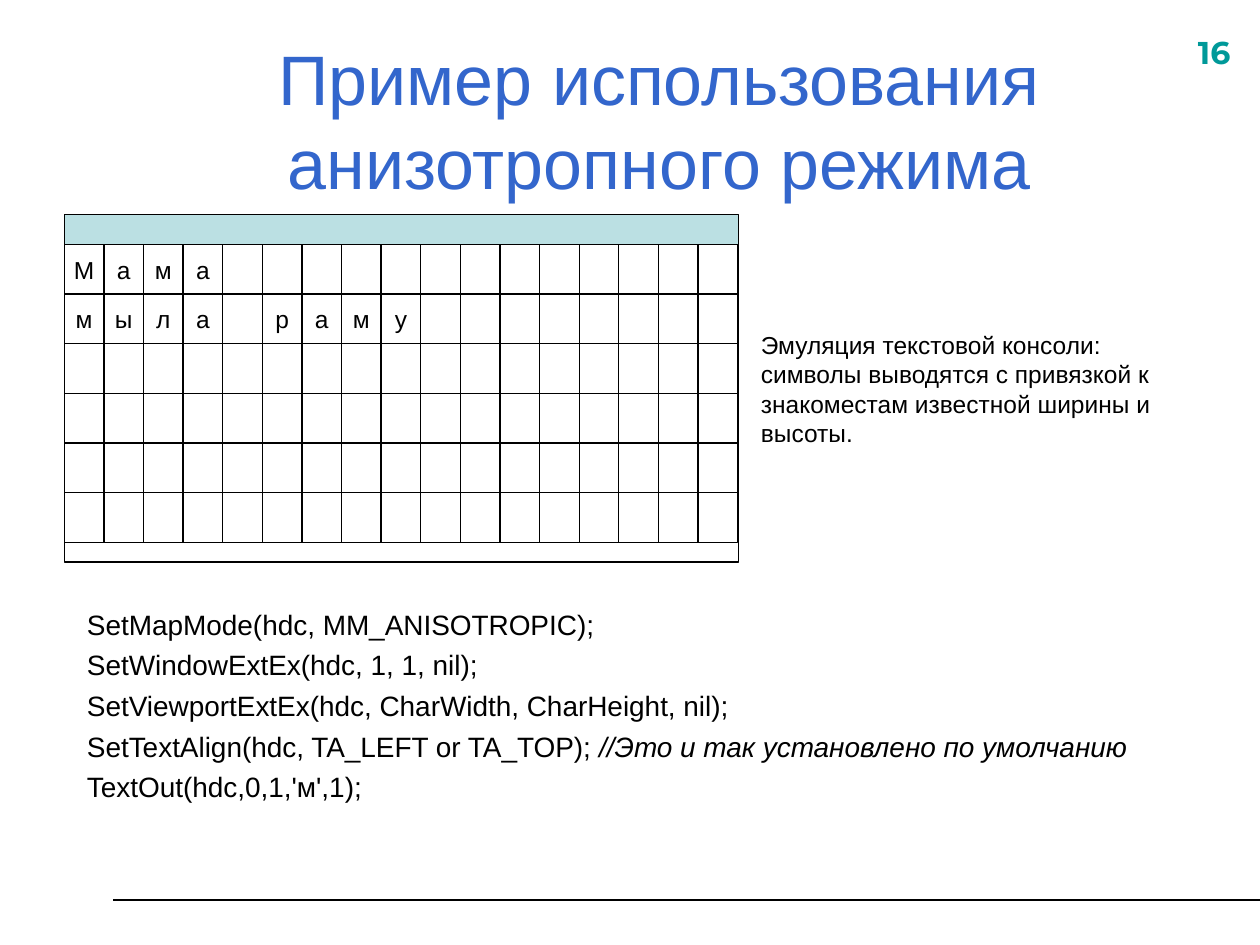
from pptx import Presentation
from pptx.dml.color import RGBColor
from pptx.enum.shapes import MSO_CONNECTOR, MSO_SHAPE
from pptx.enum.text import MSO_ANCHOR, MSO_AUTO_SIZE, PP_ALIGN
from pptx.oxml.ns import qn
from pptx.util import Inches, Pt
from lxml import etree

RECTANGLE, STRAIGHT = MSO_SHAPE.RECTANGLE, MSO_CONNECTOR.STRAIGHT
CENTER, LEFT = PP_ALIGN.CENTER, PP_ALIGN.LEFT
MIDDLE, TOP, NO_FIT = MSO_ANCHOR.MIDDLE, MSO_ANCHOR.TOP, MSO_AUTO_SIZE.NONE
BLACK = "000000"


def color(value):
    return RGBColor.from_string(value)


def write(paragraph, text, size, hex_color=BLACK, align=LEFT, **font_values):
    run = paragraph.add_run()
    run.text = text
    paragraph.alignment = align
    values = {"name": "Arial", "size": Pt(size), "bold": False, **font_values}
    for name, value in values.items():
        setattr(run.font, name, value)
    run.font.color.rgb = color(hex_color)


prs = Presentation()
prs.slide_width, prs.slide_height = Inches(10), Inches(7.5)
slide = prs.slides.add_slide(prs.slide_layouts[1])
shapes = slide.shapes
title, code = slide.placeholders

# Footer rule
rule = shapes.add_connector(STRAIGHT, Inches(0.9), Inches(7.14), Inches(10), Inches(7.14))
rule.line.color.rgb = color(BLACK)
rule.line.width = Pt(1.25)
etree.SubElement(rule.element.spPr, qn("a:effectLst"))

# Page number
page_number = shapes.add_textbox(Inches(9.41), Inches(0.21), Inches(0.63), Inches(0.44))
page_number.text_frame.word_wrap = True
write(page_number.text_frame.paragraphs[0], "16", 18, "009999", name="Montserrat", bold=True)

# Title and code listing
for holder, (left, top, width, height), anchor in (
    (title, (0.73, 0.32, 9, 1.25), MIDDLE),
    (code, (0.59, 4.77, 9, 2.05), TOP),
):
    holder.left, holder.top = Inches(left), Inches(top)
    holder.width, holder.height = Inches(width), Inches(height)
    holder.text_frame.auto_size = NO_FIT
    holder.text_frame.vertical_anchor = anchor
write(title.text_frame.paragraphs[0], "Пример использования анизотропного режима",
      40, "3366CC", CENTER)

code_lines = [
    ("SetMapMode(hdc, MM_ANISOTROPIC);", ""),
    ("SetWindowExtEx(hdc, 1, 1, nil);", ""),
    ("SetViewportExtEx(hdc, CharWidth, CharHeight, nil);", ""),
    ("SetTextAlign(hdc, TA_LEFT or TA_TOP); ", "//Это и так установлено по умолчанию"),
    ("TextOut(hdc,0,1,'м',1);", ""),
]
for index, (statement, comment) in enumerate(code_lines):
    line = code.text_frame.add_paragraph() if index else code.text_frame.paragraphs[0]
    properties = line._p.get_or_add_pPr()
    properties.set("marL", str(Inches(0.38)))
    properties.set("indent", str(-Inches(0.38)))
    etree.SubElement(properties, qn("a:buNone"))
    line.space_before = Pt(4 if index else 0)
    write(line, statement, 16)
    if comment:
        write(line, comment, 16, italic=True)

# Console window: caption bar and client area
window_left, client_top, window_width = Inches(0.51), Inches(1.94), Inches(5.35)
for top, height, fill in ((1.7, 0.24, "BBE0E3"), (1.94, 2.52, "FFFFFF")):
    pane = shapes.add_shape(RECTANGLE, window_left, Inches(top), window_width, Inches(height))
    pane.shadow.inherit = False
    pane.fill.solid()
    pane.fill.fore_color.rgb = color(fill)
    pane.line.color.rgb = color(BLACK)
    pane.line.width = Pt(0.75)

# Explanation beside the console
explanation = shapes.add_textbox(Inches(5.94), Inches(2.57), Inches(3.31), Inches(1.04))
explanation.text_frame.word_wrap = True
write(explanation.text_frame.paragraphs[0],
      "Эмуляция текстовой консоли: символы выводятся с привязкой к "
      "знакоместам известной ширины и высоты.", 14)

# Character cells
COLUMNS, ROWS = 17, 6
column_step = Inches(5.03) / (COLUMNS - 1)
row_step = Inches(1.97) / (ROWS - 1)
console_text = ["Мама", "мыла раму"]
for row in range(ROWS):
    letters = console_text[row] if row < len(console_text) else ""
    for column, letter in enumerate(letters.ljust(COLUMNS)):
        cell = shapes.add_shape(
            RECTANGLE, int(window_left + column * column_step),
            int(client_top + row * row_step), int(column_step), int(row_step))
        cell.shadow.inherit = False
        cell.fill.background()
        cell.line.color.rgb = color(BLACK)
        cell.line.width = Pt(0.75)
        if letter != " ":
            cell.text_frame.word_wrap = False
            cell.text_frame.vertical_anchor = MIDDLE
            write(cell.text_frame.paragraphs[0], letter, 14, align=CENTER)

prs.save("out.pptx")
